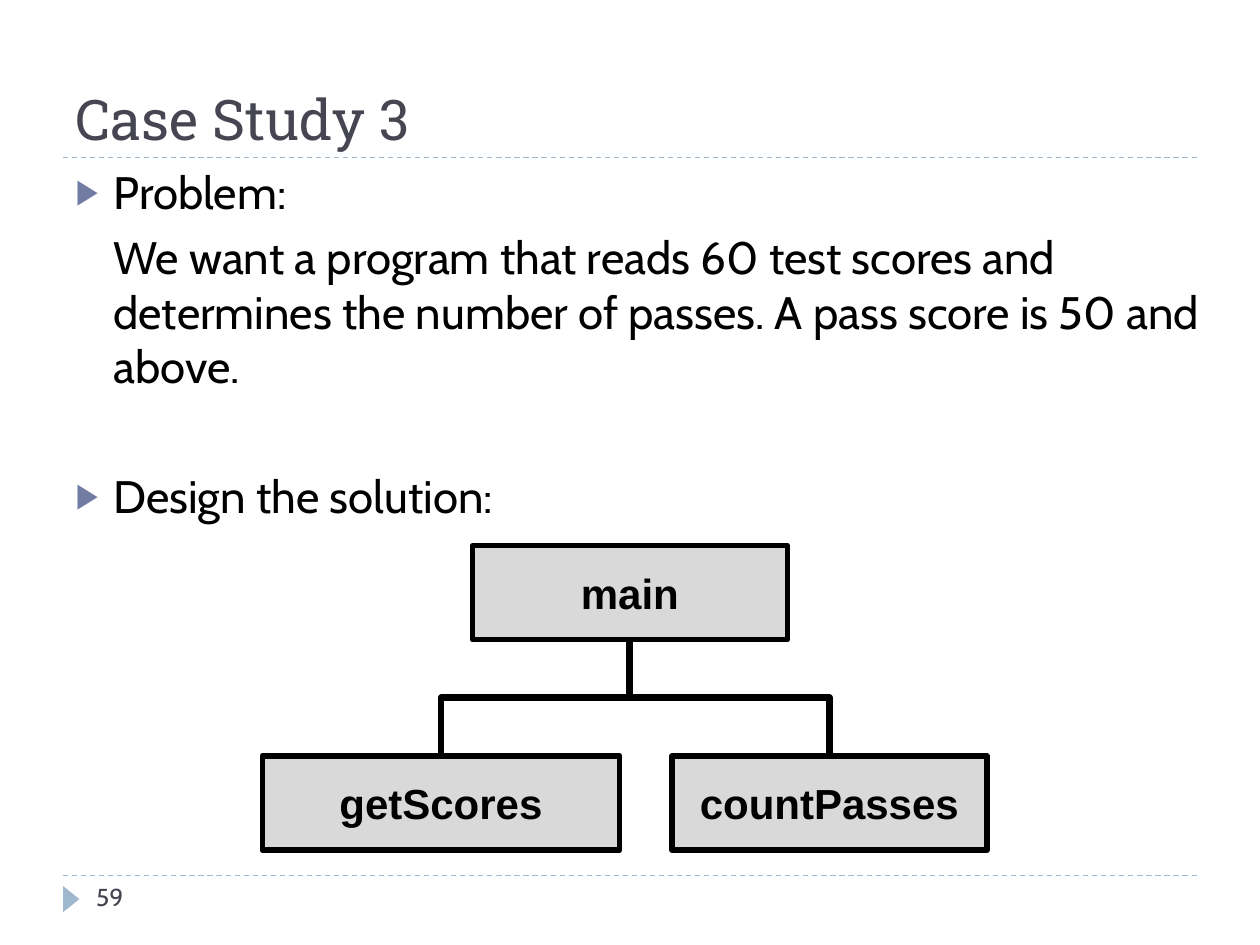
from lxml.etree import SubElement
from pptx import Presentation
from pptx.dml.color import RGBColor
from pptx.enum.dml import MSO_LINE
from pptx.enum.shapes import MSO_CONNECTOR as Link, MSO_SHAPE as Shape
from pptx.enum.text import MSO_ANCHOR as Anchor, MSO_AUTO_SIZE as AutoSize, PP_ALIGN as Align
from pptx.oxml.ns import qn
from pptx.util import Cm, Pt

BLACK = RGBColor(0x00, 0x00, 0x00)
INK = RGBColor(0x46, 0x46, 0x53)
ACCENT = RGBColor(0x72, 0x7C, 0xA3)
PALE_BLUE = RGBColor(0x9F, 0xB8, 0xCD)
GREY = RGBColor(0xD9, 0xD9, 0xD9)


class SlideBuilder:
    """Holds the style and the current slide, and adds each kind of element."""

    heading_font, body_font, chart_font = "Roboto Slab", "Cabin", "Arial"
    box_height = 1.9

    def __init__(self, page):
        self.page = page

    def style(self, para, name, size, color, bold=False):
        font = para.font
        font.name, font.size, font.bold = name, Pt(size), bold
        font.color.rgb = color

    def place(self, shape, left, top, width, height):
        shape.left, shape.top = Cm(left), Cm(top)
        shape.width, shape.height = Cm(width), Cm(height)

    def title(self, text, *area):
        title = self.page.shapes.title
        self.place(title, *area)
        frame = title.text_frame
        frame.text = text
        frame.auto_size = AutoSize.NONE
        frame.vertical_anchor = Anchor.BOTTOM
        para = frame.paragraphs[0]
        para.alignment = Align.LEFT
        self.style(para, self.heading_font, 32, INK)

    def body(self, items, *area):
        body = self.page.placeholders[1]
        self.place(body, *area)
        frame = body.text_frame
        frame.text = "\n".join(text for text, _, _ in items)
        frame.auto_size = AutoSize.NONE
        for para, (_, bulleted, space) in zip(frame.paragraphs, items):
            para.space_before = Pt(space)
            self.bullet(para, bulleted)
            self.style(para, self.body_font, 26, BLACK)

    def bullet(self, para, bulleted):
        props = para._p.get_or_add_pPr()
        props.set("marL", str(Cm(0.76)))
        props.set("indent", str(Cm(-0.76) if bulleted else 0))
        if not bulleted:
            SubElement(props, qn("a:buNone"))
            return
        color = SubElement(props, qn("a:buClr"))
        SubElement(color, qn("a:srgbClr"), val=str(ACCENT))
        SubElement(props, qn("a:buSzPct"), val="76000")
        SubElement(props, qn("a:buFont"), typeface="Arial")
        SubElement(props, qn("a:buChar"), char="▶")

    def connector(self, kind, ends, color, width):
        line = self.page.shapes.add_connector(kind, *map(Cm, ends))
        line.line.color.rgb = color
        line.line.width = Pt(width)
        SubElement(line._element.spPr, qn("a:effectLst"))
        return line

    def rule(self, top):
        line = self.connector(Link.STRAIGHT, (1.27, top, 24.13, top), PALE_BLUE, 0.75)
        line.line.dash_style = MSO_LINE.DASH

    def marker(self, *area):
        marker = self.page.shapes.add_shape(Shape.ISOSCELES_TRIANGLE, *map(Cm, area))
        marker.shadow.inherit = False
        marker.rotation = 90
        marker.fill.solid()
        marker.fill.fore_color.rgb = PALE_BLUE
        marker.line.fill.background()

    def number(self, text, *area):
        box = self.page.shapes.add_textbox(*map(Cm, area))
        box.text_frame.word_wrap = True
        box.text_frame.text = text
        self.style(box.text_frame.paragraphs[0], self.body_font, 14, INK)

    def module(self, text, center, top, width, border):
        area = (center - width / 2, top, width, self.box_height)
        box = self.page.shapes.add_shape(Shape.RECTANGLE, *map(Cm, area))
        box.shadow.inherit = False
        box.fill.solid()
        box.fill.fore_color.rgb = GREY
        box.line.color.rgb = BLACK
        box.line.width = Pt(border)
        frame = box.text_frame
        frame.text = text
        frame.vertical_anchor = Anchor.MIDDLE
        para = frame.paragraphs[0]
        para.alignment = Align.CENTER
        self.style(para, self.chart_font, 24, BLACK, bold=True)

    def branch(self, start_x, start_y, end_x, end_y):
        middle_x, middle_y = (start_x + end_x) / 2, (start_y + end_y) / 2
        half_span = abs(end_x - start_x) / 2
        half_drop = (end_y - start_y) / 2
        turn = 90 if end_x < start_x else 270
        if turn == 270:
            half_drop = -half_drop
        ends = (middle_x - half_drop, middle_y - half_span,
                middle_x + half_drop, middle_y + half_span)
        line = self.connector(Link.ELBOW, ends, BLACK, 4)
        line._element.spPr.find(qn("a:xfrm")).set("rot", str(turn * 60000))


def main():
    deck = Presentation()
    deck.slide_width, deck.slide_height = Cm(25.4), Cm(19.05)
    slide = SlideBuilder(deck.slides.add_slide(deck.slide_layouts[1]))

    for top in (17.65, 3.18):
        slide.rule(top)
    slide.marker(1.17, 17.96, 0.53, 0.33)
    slide.body([
        ("Problem:", True, 0),
        ("We want a program that reads 60 test scores and determines the number "
         "of passes. A pass score is 50 and above.", False, 6),
        ("Design the solution:", True, 43),
    ], 1.27, 3.18, 23.29, 14.6)
    slide.title("Case Study 3", 1.27, 0.43, 22.86, 2.75)

    root_x, root_y, child_y = 12.7, 11, 15.24
    slide.module("main", root_x, root_y, 6.35, 3)
    for name, center, width in (("getScores", 8.89, 7.2), ("countPasses", 16.72, 6.35)):
        slide.module(name, center, child_y, width, 3.25)
        slide.branch(root_x, root_y + slide.box_height, center, child_y)
    slide.number("59", 1.69, 17.65, 5.5, 1.02)
    deck.save("out.pptx")


if __name__ == "__main__":
    main()
